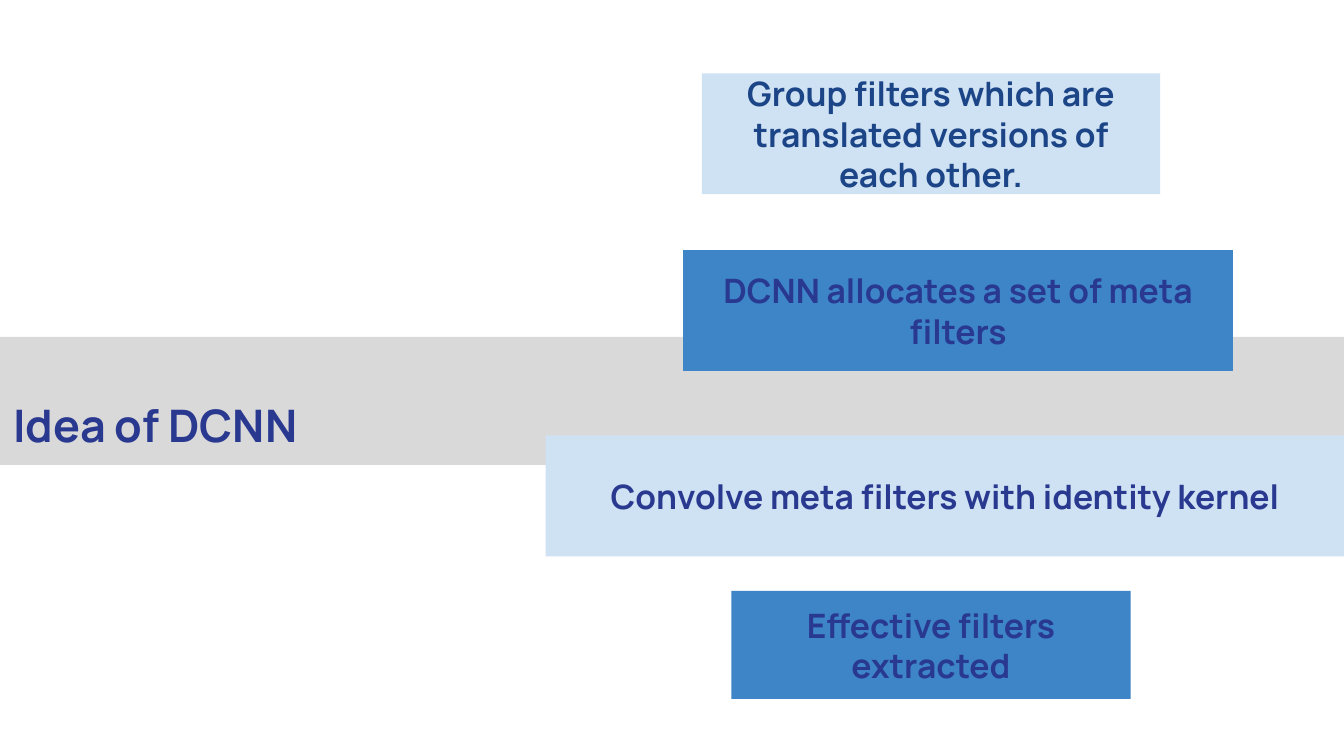
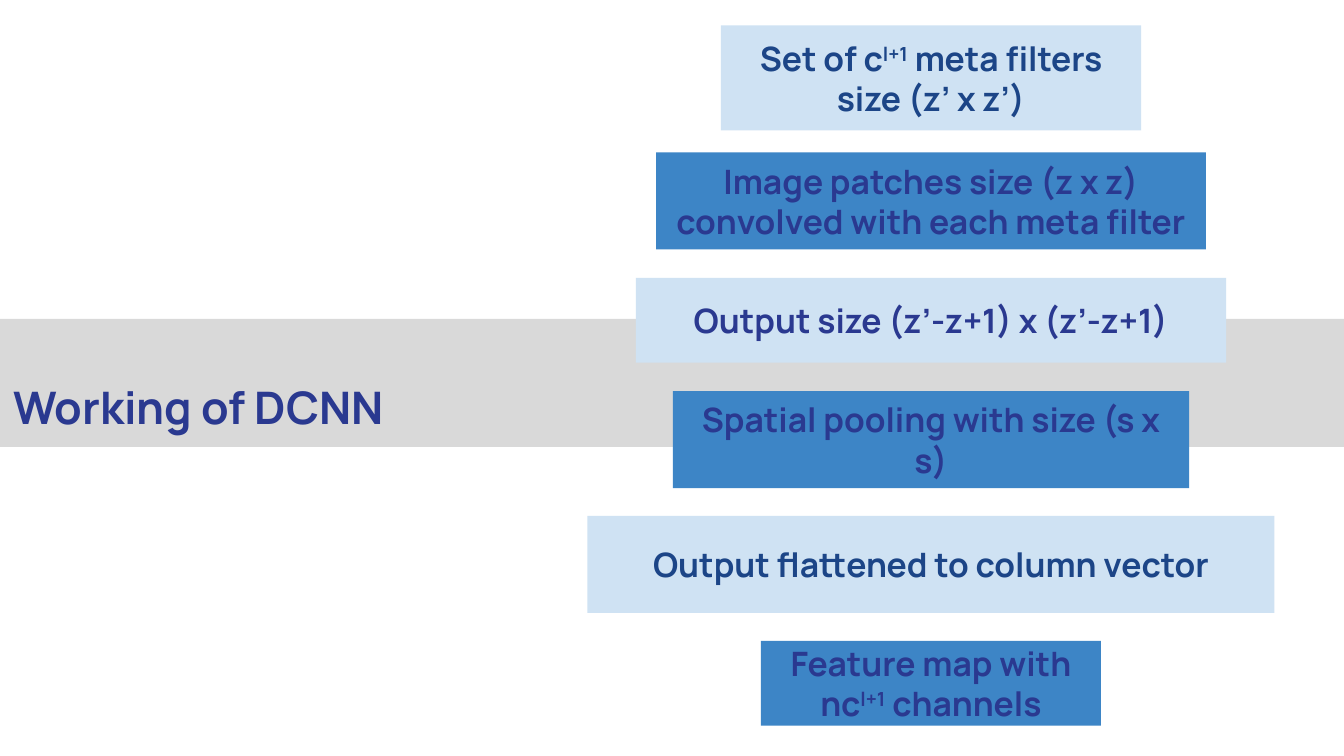
from dataclasses import dataclass
from itertools import cycle

from pptx import Presentation
from pptx.dml.color import RGBColor
from pptx.enum.shapes import MSO_SHAPE
from pptx.enum.text import MSO_ANCHOR, MSO_AUTO_SIZE, PP_ALIGN
from pptx.util import Pt

RECTANGLE = MSO_SHAPE.RECTANGLE
LEFT, CENTER = PP_ALIGN.LEFT, PP_ALIGN.CENTER
MIDDLE, BOTTOM = MSO_ANCHOR.MIDDLE, MSO_ANCHOR.BOTTOM
NO_AUTOFIT = MSO_AUTO_SIZE.NONE

FONT = "Manrope"
INDIGO, NAVY = "2A3990", "1C4587"
PALE_BLUE, BLUE, GRAY = "CFE2F3", "3D85C6", "D9D9D9"
PAGE_WIDTH, PAGE_HEIGHT = 720, 405
BAND_HEIGHT = 68.6
INSET = 7.2
SUPERSCRIPT = "30000"


@dataclass
class Box:
    """A rectangle on the page, in points."""
    left: float
    top: float
    width: float
    height: float


@dataclass
class Step:
    """One step of a list; every second span of its text is superscript."""
    spans: tuple
    top: float
    width: float
    height: float
    color: str = INDIGO
    shift: float = 0


IDEA_STEPS = [
    Step(("Group filters which are translated versions of each other.",),
         39.3, 245.5, 64.8, NAVY),
    Step(("DCNN allocates a set of meta filters",), 134, 294.5, 64.8, shift=14.5),
    Step(("Convolve meta filters with identity kernel",), 233.3, 427.8, 64.8, shift=7.5),
    Step(("Effective filters extracted",), 316.6, 214, 57.8),
]
WORKING_STEPS = [
    Step(("Set of c", "l+1", " meta filters size (z’ x z’)"), 13.6, 225.2, 56.2, NAVY),
    Step(("Image patches size (z x z) convolved with each meta filter",),
         81.6, 294.5, 52),
    Step(("Output size (z’-z+1) x (z’-z+1)",), 148.9, 316.2, 45.4),
    Step(("Spatial pooling with size (s x s)",), 209.5, 276.6, 52),
    Step(("Output flattened to column vector",), 276.4, 368, 52, NAVY),
    Step(("Feature map with nc", "l+1", " channels"), 343.4, 182.2, 45.4),
]


def rgb(color):
    """Return the colour for a hex string."""
    return RGBColor.from_string(color)


def apply_format(target, values):
    """Set each named attribute of the target."""
    for name, value in values.items():
        setattr(target, name, value)


def style_box(shape, box, fill, anchor):
    """Place a shape and set its fill and text frame."""
    apply_format(shape, {"left": Pt(box.left), "top": Pt(box.top),
                         "width": Pt(box.width), "height": Pt(box.height)})
    shape.fill.solid()
    shape.fill.fore_color.rgb = rgb(fill)
    shape.line.fill.background()
    margins = {f"margin_{side}": Pt(INSET) for side in ("left", "top", "right", "bottom")}
    apply_format(shape.text_frame, {"word_wrap": True, "auto_size": NO_AUTOFIT,
                                    "vertical_anchor": anchor, **margins})


def write_text(shape, spans, size, color, align):
    """Write bold spans in one paragraph, every second one superscript."""
    para = shape.text_frame.paragraphs[0]
    para.alignment = align
    for index, text in enumerate(spans):
        span = para.add_run()
        span.text = text
        apply_format(span.font, {"name": FONT, "size": Pt(size), "bold": True})
        span.font.color.rgb = rgb(color)
        if index % 2:
            span._r.get_or_add_rPr().set("baseline", SUPERSCRIPT)


def add_title_band(page, title, box):
    """Turn the title placeholder into a full-width band."""
    band = page.shapes.title
    style_box(band, box, GRAY, BOTTOM)
    write_text(band, (title,), 24, INDIGO, LEFT)


def add_steps(page, steps, column):
    """Centre the steps in a column, with alternating fills."""
    for step, fill in zip(steps, cycle((PALE_BLUE, BLUE))):
        left = column.left + (column.width - step.width) / 2 + step.shift
        box = Box(left, column.top + step.top, step.width, step.height)
        shape = page.shapes.add_shape(RECTANGLE, 0, 0, 0, 0)
        shape.shadow.inherit = False
        style_box(shape, box, fill, MIDDLE)
        write_text(shape, step.spans, 18, step.color, CENTER)


def add_steps_page(deck, title, band_top, steps):
    """Add a page with a title band and a column of steps."""
    page = deck.slides.add_slide(deck.slide_layouts[5])
    add_title_band(page, title, Box(0, band_top, PAGE_WIDTH, BAND_HEIGHT))
    add_steps(page, steps, Box(277.5, 0, 442.5, PAGE_HEIGHT))


def main():
    """Build and save the deck."""
    deck = Presentation()
    apply_format(deck, {"slide_width": Pt(PAGE_WIDTH), "slide_height": Pt(PAGE_HEIGHT)})
    add_steps_page(deck, "Idea of DCNN", 180.5, IDEA_STEPS)
    add_steps_page(deck, "Working of DCNN", 170.8, WORKING_STEPS)
    deck.save("out.pptx")


if __name__ == "__main__":
    main()
